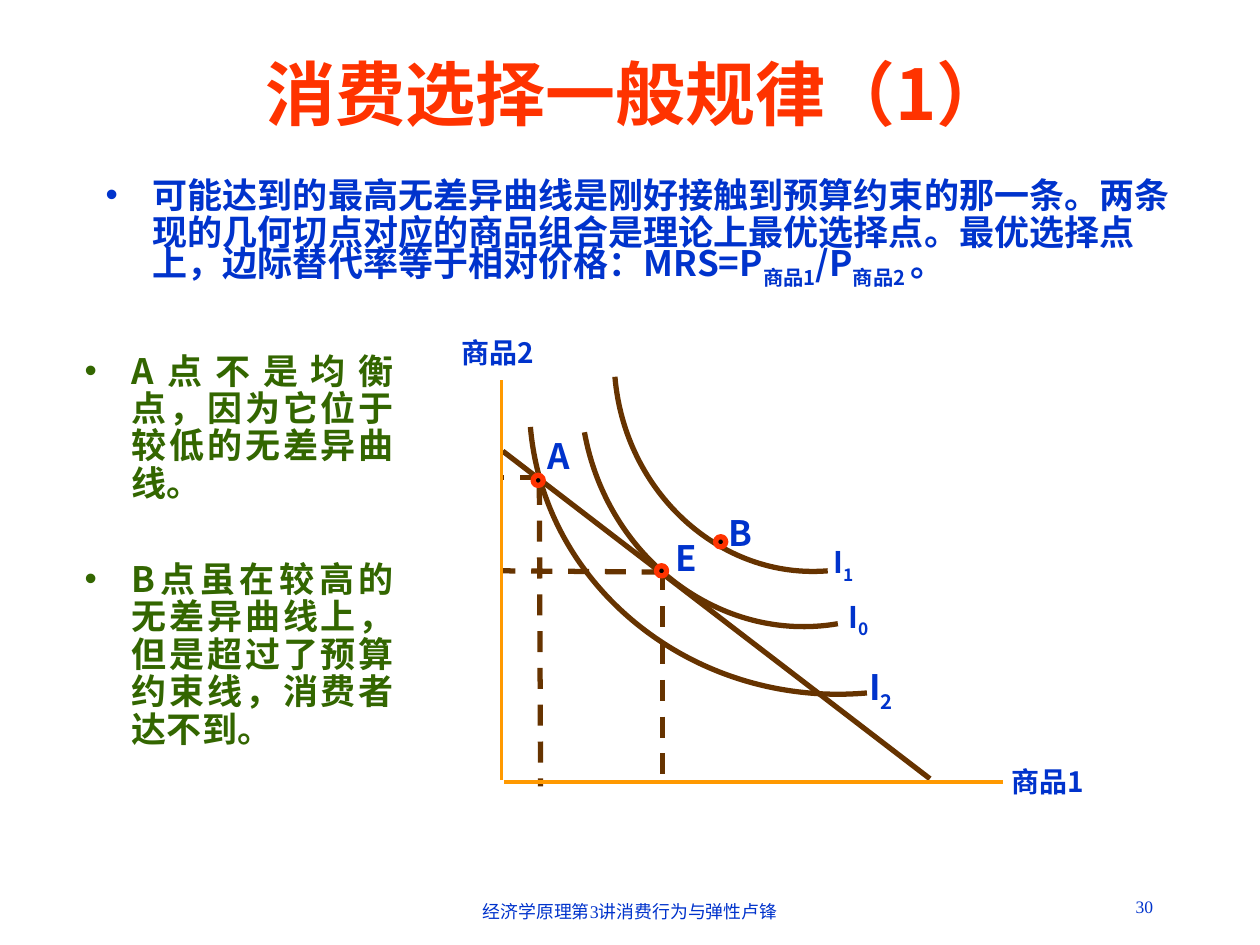
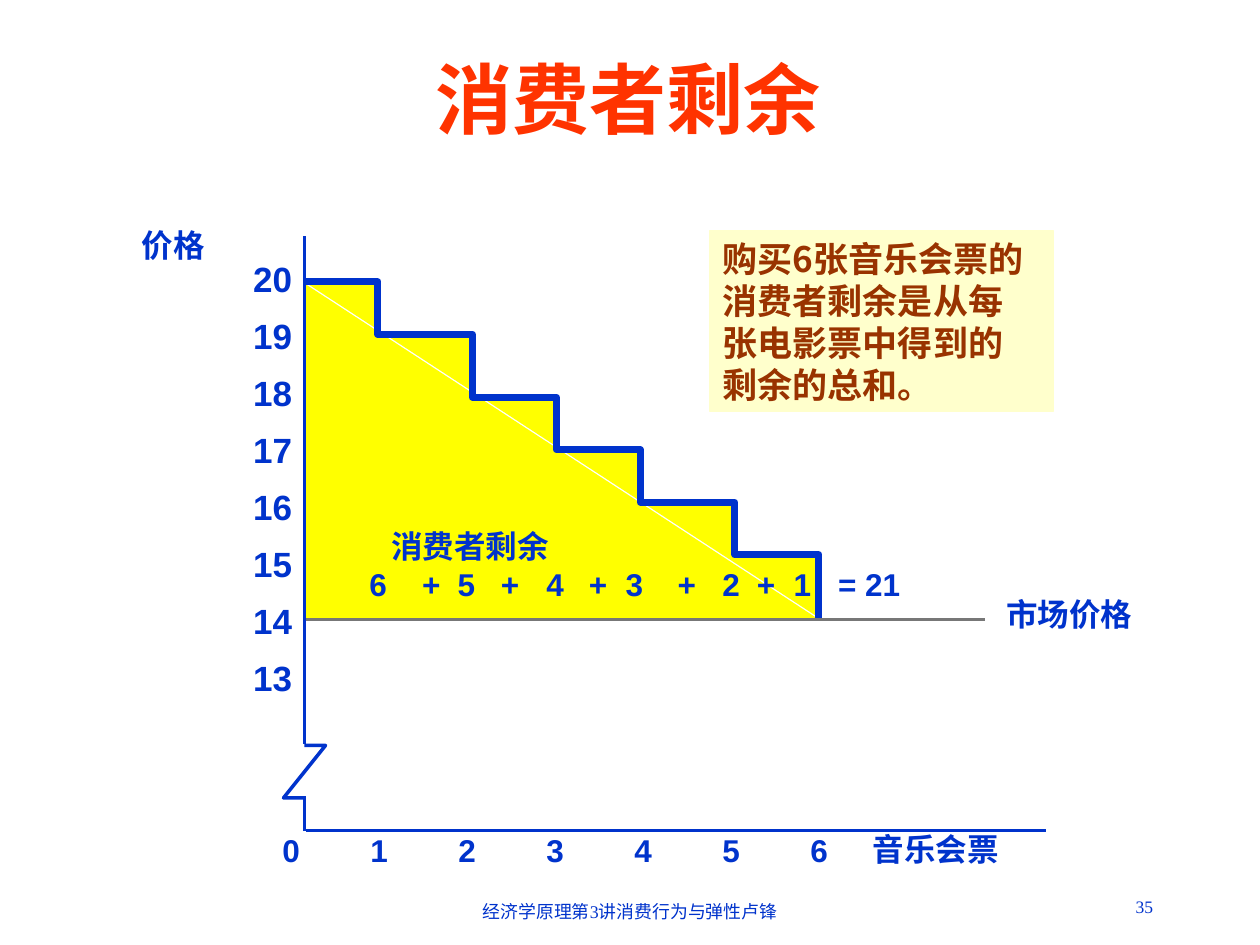
from collections import namedtuple

from lxml import etree
from pptx import Presentation
from pptx.dml.color import RGBColor
from pptx.enum.dml import MSO_LINE
from pptx.enum.shapes import MSO_CONNECTOR, MSO_SHAPE
from pptx.enum.text import MSO_ANCHOR, MSO_AUTO_SIZE, PP_ALIGN
from pptx.oxml.ns import qn
from pptx.util import Pt

LEFT, CENTER, RIGHT, JUSTIFY = PP_ALIGN.LEFT, PP_ALIGN.CENTER, PP_ALIGN.RIGHT, PP_ALIGN.JUSTIFY
TOP, MIDDLE, BOTTOM = MSO_ANCHOR.TOP, MSO_ANCHOR.MIDDLE, MSO_ANCHOR.BOTTOM
DASH = MSO_LINE.DASH
STRAIGHT = MSO_CONNECTOR.STRAIGHT
OVAL, RECTANGLE, TRIANGLE = MSO_SHAPE.OVAL, MSO_SHAPE.RECTANGLE, MSO_SHAPE.RIGHT_TRIANGLE

BLUE, RED, GREEN, BROWN = "0033CC", "FF3300", "336600", "663300"
ORANGE, YELLOW, CREAM, RUST = "FF9900", "FFFF00", "FFFFCC", "993300"
GRAY, BLACK = "777777", "000000"
SANS, SERIF, ARIAL = "Noto Sans CJK SC", "Times New Roman", "Arial"
EAST_ASIAN_FONTS = {SANS: SANS, SERIF: ARIAL, ARIAL: ARIAL}
NO_INSETS = (0, 0, 0, 0)
BOX_INSETS = (7.2, 3.6, 7.2, 3.6)
BULLET_INDENT = 27
SUBSCRIPT = -25000

Box = namedtuple("Box", "left top width height")


def rgb(color):
    return RGBColor.from_string(color)


def place(shape, box):
    shape.left, shape.top, shape.width, shape.height = map(Pt, box)


def add_bullet(para, color):
    properties = para._p.get_or_add_pPr()
    properties.set("marL", str(Pt(BULLET_INDENT)))
    properties.set("indent", str(-Pt(BULLET_INDENT)))
    properties.set("hangingPunct", "0")
    bullet_color = etree.SubElement(properties, qn("a:buClr"))
    etree.SubElement(bullet_color, qn("a:srgbClr"), val=color)
    etree.SubElement(properties, qn("a:buFont"), typeface=ARIAL)
    etree.SubElement(properties, qn("a:buChar"), char="•")


def add_tabs(para, stops):
    """Add tab stops given as (position, alignment) pairs."""
    tabs = etree.SubElement(para._p.get_or_add_pPr(), qn("a:tabLst"))
    for position, kind in stops:
        etree.SubElement(tabs, qn("a:tab"), pos=str(Pt(position)), algn=kind)


def write(frame, paragraphs, size=20, color=BLUE, font=SANS, bold=True, align=LEFT,
          anchor=TOP, insets=BOX_INSETS, bullet=False, line=None, gap=0):
    """Fill a frame; a paragraph is a string or a list of (text, baseline) spans."""
    frame.word_wrap = True
    frame.auto_size = MSO_AUTO_SIZE.NONE
    frame.vertical_anchor = anchor
    (frame.margin_left, frame.margin_top,
     frame.margin_right, frame.margin_bottom) = map(Pt, insets)
    for index, content in enumerate(paragraphs):
        para = frame.add_paragraph() if index else frame.paragraphs[0]
        if bullet:
            add_bullet(para, color)
        para.alignment = align
        para.space_before = Pt(gap if index else 0)
        if line:
            para.line_spacing = Pt(line)
        spans = [(content, 0)] if isinstance(content, str) else content
        for text, baseline in spans:
            span = para.add_run()
            span.text = text
            span.font.size = Pt(size)
            span.font.bold = bold
            span.font.name = font
            span.font.color.rgb = rgb(color)
            properties = span._r.get_or_add_rPr()
            etree.SubElement(properties, qn("a:ea"), typeface=EAST_ASIAN_FONTS[font])
            if baseline:
                properties.set("baseline", str(baseline))


def add_text(page, box, paragraphs, **style):
    shape = page.shapes.add_textbox(*map(Pt, box))
    write(shape.text_frame, paragraphs, **style)
    return shape


def paint(shape, fill=None, line=None, width=1):
    shape.shadow.inherit = False
    if fill:
        shape.fill.solid()
        shape.fill.fore_color.rgb = rgb(fill)
    else:
        shape.fill.background()
    if line:
        shape.line.color.rgb = rgb(line)
        shape.line.width = Pt(width)
    else:
        shape.line.fill.background()


def add_shape(page, kind, box, **style):
    shape = page.shapes.add_shape(kind, *map(Pt, box))
    paint(shape, **style)
    return shape


def add_line(page, area, start, end, color, width, dash=None):
    """Draw a line between two points measured from the area's corner."""
    x1, y1, x2, y2 = (Pt(offset + value) for offset, value
                      in zip(area[:2] * 2, start + end))
    line = page.shapes.add_connector(STRAIGHT, x1, y1, x2, y2)
    line.line.color.rgb = rgb(color)
    line.line.width = Pt(width)
    if dash:
        line.line.dash_style = dash
    etree.SubElement(line._element.spPr, qn("a:effectLst"))


def add_outline(page, area, points, **style):
    """Draw an open outline through points measured from the area's corner."""
    points = [(Pt(area.left + x), Pt(area.top + y)) for x, y in points]
    builder = page.shapes.build_freeform(*points[0])
    builder.add_line_segments(points[1:], close=False)
    shape = builder.convert_to_shape()
    paint(shape, **style)
    return shape


def add_curve(page, area, points, **style):
    """Draw one cubic curve: start, two control points, end."""
    shape = add_outline(page, area, points, **style)
    outline = shape._element.find(".//" + qn("a:path"))
    curve = etree.SubElement(outline, qn("a:cubicBezTo"))
    for segment in outline.findall(qn("a:lnTo")):
        curve.append(segment[0])
        outline.remove(segment)


def start_page(deck, layout, number, title, box, **style):
    page = deck.slides.add_slide(deck.slide_layouts[layout])
    place(page.shapes.title, box)
    write(page.shapes.title.text_frame, [title], color=RED, align=CENTER, **style)
    add_text(page, Box(246, 511, 228, 20), ["经济学原理第3讲消费行为与弹性卢锋"],
             size=10.2, font=SERIF, bold=False, align=CENTER)
    add_text(page, Box(516, 508.5, 150, 20), [number],
             size=10, font=SERIF, bold=False, align=RIGHT)
    return page


def indifference_diagram(page, area):
    curves = [
        [(231.4, 204), (133.4, 212.6), (47, 144.2), (39.1, 52)],
        [(209, 134.2), (147.8, 139.2), (93, 89.5), (87.4, 23.3)],
        [(214.8, 164.4), (147.8, 175.9), (83, 127), (70, 55)],
    ]
    for points in curves:
        add_curve(page, area, points, line=BROWN, width=3)

    budget_line = ((23.3, 65.8), (267.4, 253))
    add_line(page, area, *budget_line, BROWN, 3)
    guides = [((114.7, 133.4), (114.7, 254.4)), ((114.7, 134.9), (23.3, 134.2)),
              ((44.2, 84.5), (44.9, 257.3)), ((44.9, 81), (21.8, 81))]
    for start, end in guides:
        add_line(page, area, start, end, BROWN, 3, DASH)
    axes = [((24, 255), (309, 255)), ((22.6, 253.7), (22.6, 25.4))]
    for start, end in axes:
        add_line(page, area, start, end, ORANGE, 2.25)

    dot = 5.8
    for x, y in [(43.5, 82.5), (114, 134.2), (147.8, 117.6)]:
        add_shape(page, OVAL, Box(area.left + x - dot / 2, area.top + y - dot / 2, dot, dot),
                  fill=BLACK, line=RED, width=3)

    labels = [
        ("A", "", 48.8, 56.4, 20), ("E", "", 122, 114.7, 20), ("B", "", 152, 100.3, 20),
        ("I", "1", 212.3, 119, 17), ("I", "0", 221, 150, 17), ("I", "2", 232.8, 188.2, 20),
        ("商品2", "", 0, 0, 16), ("商品1", "", 314, 245, 16),
    ]
    for name, index, x, y, size in labels:
        spans = [(name, 0)] + ([(index, SUBSCRIPT)] if index else [])
        add_text(page, Box(area.left + x, area.top + y, 60, 26), [spans],
                 size=size, insets=NO_INSETS)


def choice_page(deck):
    page = start_page(deck, 1, "30", "消费选择一般规律（1）",
                      Box(57.6, 23, 612, 60), size=40, anchor=MIDDLE)
    body = page.placeholders[1]
    place(body, Box(53.1, 98.8, 625, 75))
    rule = [
        ("可能达到的最高无差异曲线是刚好接触到预算约束的那一条。两条"
         "现的几何切点对应的商品组合是理论上最优选择点。最优选择点上，"
         "边际替代率等于相对价格：MRS=P", 0),
        ("商品1", SUBSCRIPT), ("/P", 0), ("商品2 ", SUBSCRIPT), ("。", 0),
    ]
    write(body.text_frame, [rule], bullet=True, line=21)
    add_text(page, Box(41.3, 198.5, 190.8, 264),
             ["A点不是均衡点，因为它位于较低的无差异曲线。",
              "B点虽在较高的无差异曲线上，但是超过了预算约束线，消费者达不到。"],
             color=GREEN, align=JUSTIFY, bullet=True, line=21.4, gap=33.4)
    indifference_diagram(page, Box(264, 192, 372, 260))


def surplus_sum(page, box):
    """Write the surplus caption and the sum, its terms set on tab stops."""
    terms = ["6", "+", "5", "+", "4", "+", "3", "+", "2", "+", "1", "= 21"]
    centers = [24.6, 55, 75, 100, 125.7, 150.3, 171, 201, 226.3, 246.3, 267]
    shape = add_text(page, box, ["消费者剩余", "".join("\t" + term for term in terms)],
                     size=18, font=ARIAL, insets=NO_INSETS, line=22)
    caption, total = shape.text_frame.paragraphs
    caption._p.get_or_add_pPr().set("marL", str(Pt(32)))
    add_tabs(total, [(center, "ctr") for center in centers] + [(287.4, "l")])


def surplus_chart(page, area):
    step_x = [0, 42, 96, 144, 192, 246, 294]
    step_y = [26, 56, 92, 122, 152, 182, 218]
    steps = [(step_x[0], step_y[0])]
    for x, y, next_y in zip(step_x[1:], step_y, step_y[1:]):
        steps += [(x, y), (x, next_y)]
    add_shape(page, TRIANGLE, Box(area.left, area.top + 27, 294, 192), fill=YELLOW)
    add_outline(page, area, steps, fill=YELLOW, line=BLUE, width=4)
    surplus_sum(page, Box(area.left + 17.5, area.top + 165.6, 330, 60))

    axis_break = [(0, 321), (-12, 321), (12, 291), (0, 291)]
    axes = [((1, 339.5), (424, 339.5)), ((0, 0), (0, 290)), ((0, 340), (0, 320))]
    for start, end in axes:
        add_line(page, area, start, end, BLUE, 2)
    add_outline(page, area, axis_break, line=BLUE, width=2)
    add_line(page, area, (1, 219), (389, 219), GRAY, 2)

    def label(text, x, y, width, **style):
        add_text(page, Box(area.left + x, area.top + y, width, 30), [text],
                 font=ARIAL, anchor=MIDDLE, insets=NO_INSETS, **style)

    for row, price in enumerate(range(20, 12, -1)):
        label(str(price), -51, 9.2 + 32.6 * row, 44, align=RIGHT)
    for count in range(7):
        label(str(count), -19.7 + 50.3 * count, 335.4, 24, size=18, align=CENTER)
    for name, x, y in [("价格", -93, -10), ("音乐会票", 324.7, 335), ("市场价格", 401, 201)]:
        label(name, x, y, 86, size=18)


def surplus_page(deck):
    page = start_page(deck, 5, "35", "消费者剩余", Box(44.6, 24.5, 628.6, 61.2),
                      size=44, font=SERIF, anchor=BOTTOM)
    surplus_chart(page, Box(174, 135, 424, 340))
    note = add_shape(page, RECTANGLE, Box(405.4, 132, 196.6, 103),
                     fill=CREAM, line=CREAM)
    write(note.text_frame,
          ["购买6张音乐会票的", "消费者剩余是从每", "张电影票中得到的", "剩余的总和。"],
          color=RUST, insets=(7.6, 3.5, 0, 3.6), line=24)


def main():
    deck = Presentation()
    deck.slide_width, deck.slide_height = Pt(720), Pt(540)
    choice_page(deck)
    surplus_page(deck)
    deck.save("out.pptx")


if __name__ == "__main__":
    main()
